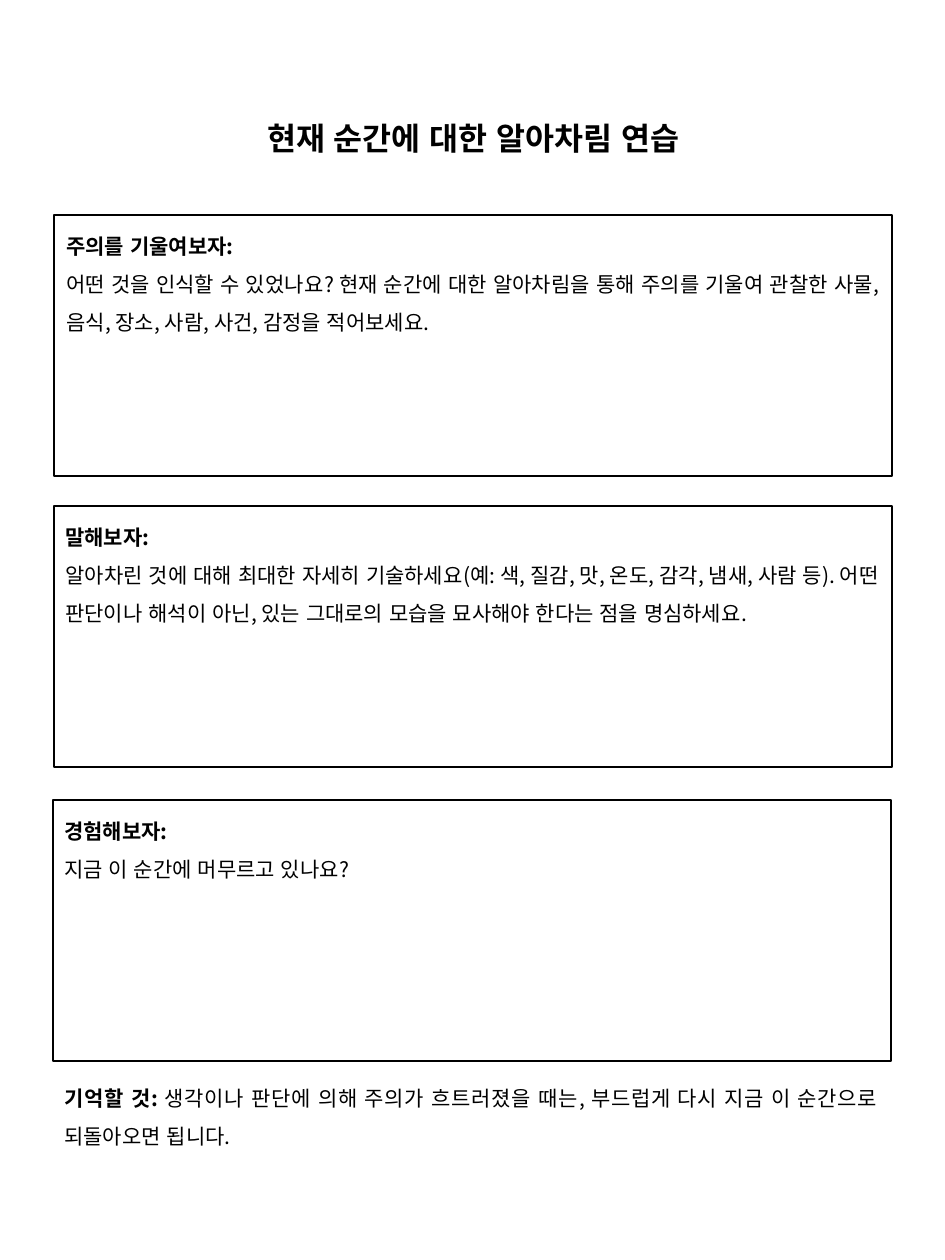
from dataclasses import dataclass

from lxml.etree import SubElement
from pptx import Presentation
from pptx.dml.color import RGBColor
from pptx.enum.lang import MSO_LANGUAGE_ID as Language
from pptx.enum.shapes import MSO_SHAPE as Shape
from pptx.enum.text import MSO_AUTO_SIZE as AutoSize, PP_ALIGN as Align
from pptx.oxml.ns import qn
from pptx.slide import Slide
from pptx.util import Emu, Pt

PX_PER_INCH = 126
CONTENT_WIDTH = 838
BOX_HEIGHT = 261


@dataclass(frozen=True)
class Theme:
    font: str = "Noto Sans CJK KR"
    ink: RGBColor = RGBColor(0, 0, 0)
    title_size: Pt = Pt(18)
    body_size: Pt = Pt(12)
    border: Pt = Pt(1)
    line_spacing: float = 1.5


@dataclass(frozen=True)
class Piece:
    text: str
    bold: bool = False


@dataclass(frozen=True)
class Section:
    box_left: int
    text_left: int
    top: int
    text_height: int
    heading: str
    prompt: str


THEME = Theme()
TITLE = "현재 순간에 대한 알아차림 연습"
SECTIONS = [
    Section(54, 54, 215, 127, "주의를 기울여보자:",
            "어떤 것을 인식할 수 있었나요? 현재 순간에 대한 알아차림을 통해 주의를 기울여 "
            "관찰한 사물, 음식, 장소, 사람, 사건, 감정을 적어보세요."),
    Section(54, 53, 506, 127, "말해보자:",
            "알아차린 것에 대해 최대한 자세히 기술하세요(예: 색, 질감, 맛, 온도, 감각, 냄새, "
            "사람 등). 어떤 판단이나 해석이 아닌, 있는 그대로의 모습을 묘사해야 한다는 점을 "
            "명심하세요."),
    Section(53, 52, 800, 89, "경험해보자:", "지금 이 순간에 머무르고 있나요?"),
]
REMINDER = [
    Piece("기억할 것: ", bold=True),
    Piece("생각이나 판단에 의해 주의가 흐트러졌을 때는, 부드럽게 다시 지금 이 순간으로 "
          "되돌아오면 됩니다."),
]


def px(length: int) -> Emu:
    return Emu(round(length * 914400 / PX_PER_INCH))


def add_text(slide: Slide, left: int, top: int, height: int,
             paragraphs: list[list[Piece]], size: Pt = THEME.body_size,
             align: Align = Align.JUSTIFY) -> None:
    """Add a full-width text box; each paragraph is a list of pieces."""
    box = slide.shapes.add_textbox(px(left), px(top), px(CONTENT_WIDTH), px(height))
    frame = box.text_frame
    frame.word_wrap = True
    frame.auto_size = AutoSize.SHAPE_TO_FIT_TEXT
    for index, pieces in enumerate(paragraphs):
        paragraph = frame.add_paragraph() if index else frame.paragraphs[0]
        paragraph.alignment = align
        paragraph.line_spacing = THEME.line_spacing
        for piece in pieces:
            run = paragraph.add_run()
            run.text = piece.text
            font = run.font
            font.size = size
            font.bold = piece.bold
            font.color.rgb = THEME.ink
            font.language_id = Language.KOREAN
            font.name = THEME.font
            # Hangul takes its typeface from the East Asian font
            east_asian = SubElement(run._r.get_or_add_rPr(), qn("a:ea"))
            east_asian.set("typeface", THEME.font)


def add_section(slide: Slide, section: Section) -> None:
    box = slide.shapes.add_shape(Shape.RECTANGLE, px(section.box_left), px(section.top),
                                 px(CONTENT_WIDTH), px(BOX_HEIGHT))
    box.shadow.inherit = False
    box.fill.background()
    box.line.color.rgb = THEME.ink
    box.line.width = THEME.border
    add_text(slide, section.text_left, section.top, section.text_height,
             [[Piece(section.heading, bold=True)], [Piece(section.prompt)]])


def main() -> None:
    presentation = Presentation()
    presentation.slide_width = px(945)
    presentation.slide_height = px(1260)
    slide = presentation.slides.add_slide(presentation.slide_layouts[6])

    add_text(slide, 54, 94, 63, [[Piece(TITLE, bold=True)]],
             size=THEME.title_size, align=Align.CENTER)
    for section in SECTIONS:
        add_section(slide, section)
    add_text(slide, 52, 1067, 89, [REMINDER])

    presentation.save("out.pptx")


if __name__ == "__main__":
    main()
